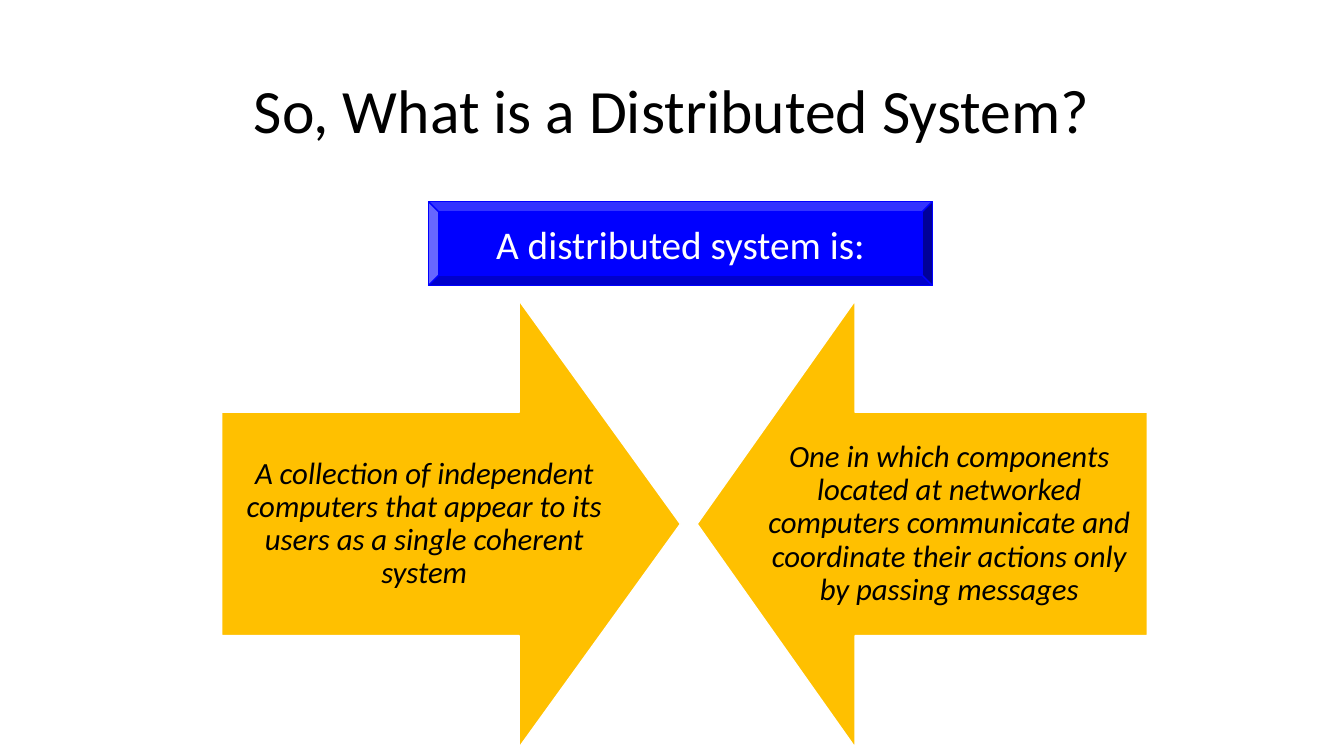
import dataclasses

import pptx
import pptx.dml.color
import pptx.enum.shapes
import pptx.enum.text
import pptx.util


@dataclasses.dataclass(frozen=True)
class Theme:
    font: str = "Calibri"
    black: str = "000000"
    white: str = "FFFFFF"
    blue: str = "0000FF"
    amber: str = "FFC000"
    title_size: int = 44
    banner_size: int = 28
    arrow_size: int = 22
    tight: float = 0.9


class Page:
    """One slide on a grid of 16 columns by 9 rows, with its theme."""

    def __init__(self, deck, theme):
        self.theme = theme
        self.slide = deck.slides.add_slide(deck.slide_layouts[5])
        self.unit = deck.slide_width / 16

    def grid(self, *cells):
        return [pptx.util.Emu(round(cell * self.unit)) for cell in cells]

    def colour(self, value):
        return pptx.dml.color.RGBColor.from_string(value)

    def label(self, shape, text, size, colour, italic=False, spacing=1.0):
        frame = shape.text_frame
        frame.word_wrap = True
        frame.vertical_anchor = pptx.enum.text.MSO_ANCHOR.MIDDLE
        frame.text = text
        para = frame.paragraphs[0]
        para.alignment = pptx.enum.text.PP_ALIGN.CENTER
        para.line_spacing = spacing
        para.font.name = self.theme.font
        para.font.size = pptx.util.Pt(size)
        para.font.italic = italic
        para.font.color.rgb = self.colour(colour)

    def paint(self, shape, fill, line):
        shape.shadow.inherit = False
        shape.fill.solid()
        shape.fill.fore_color.rgb = self.colour(fill)
        shape.line.color.rgb = self.colour(line)
        shape.line.width = pptx.util.Pt(1)

    def title(self, text, *cells):
        box = self.slide.shapes.title
        box.left, box.top, box.width, box.height = self.grid(*cells)
        self.label(box, text, self.theme.title_size, self.theme.black,
                   spacing=self.theme.tight)

    def banner(self, text, *cells):
        bevel = pptx.enum.shapes.MSO_SHAPE.BEVEL
        box = self.slide.shapes.add_shape(bevel, *self.grid(*cells))
        self.paint(box, self.theme.blue, self.theme.blue)
        self.label(box, text, self.theme.banner_size, self.theme.white)

    def arrow(self, text, tail, neck, tip, middle=6.24, half=2.66):
        stem = half / 2
        corners = [(neck, middle - half), (neck, middle - stem),
                   (tail, middle - stem), (tail, middle + stem),
                   (neck, middle + stem), (neck, middle + half),
                   (tip, middle)]
        points = [self.grid(*corner) for corner in corners]
        builder = self.slide.shapes.build_freeform(*points[0])
        builder.add_line_segments(points[1:], close=True)
        shape = builder.convert_to_shape()
        self.paint(shape, self.theme.amber, self.theme.white)
        self.label(shape, text, self.theme.arrow_size, self.theme.black,
                   italic=True, spacing=self.theme.tight)
        sides = (0.13, 0.77) if tail < tip else (0.77, 0.13)
        frame = shape.text_frame
        frame.margin_left, frame.margin_right = self.grid(*sides)
        frame.margin_top, frame.margin_bottom = self.grid(1.04, 1.04)


def main():
    deck = pptx.Presentation()
    deck.slide_width = pptx.util.Inches(13.33)
    deck.slide_height = pptx.util.Inches(7.5)
    page = Page(deck, Theme())
    page.title("So, What is a Distributed System?", 1.1, 0.48, 13.8, 1.74)
    page.banner("A distributed system is:", 5.1, 2.4, 6, 1)
    page.arrow("A collection of independent computers that appear to its "
               "users as a single coherent system", 2.64, 6.18, 8.1)
    page.arrow("One in which components located at networked computers "
               "communicate and coordinate their actions only by passing "
               "messages", 13.66, 10.18, 8.3)
    deck.save("out.pptx")


if __name__ == "__main__":
    main()
